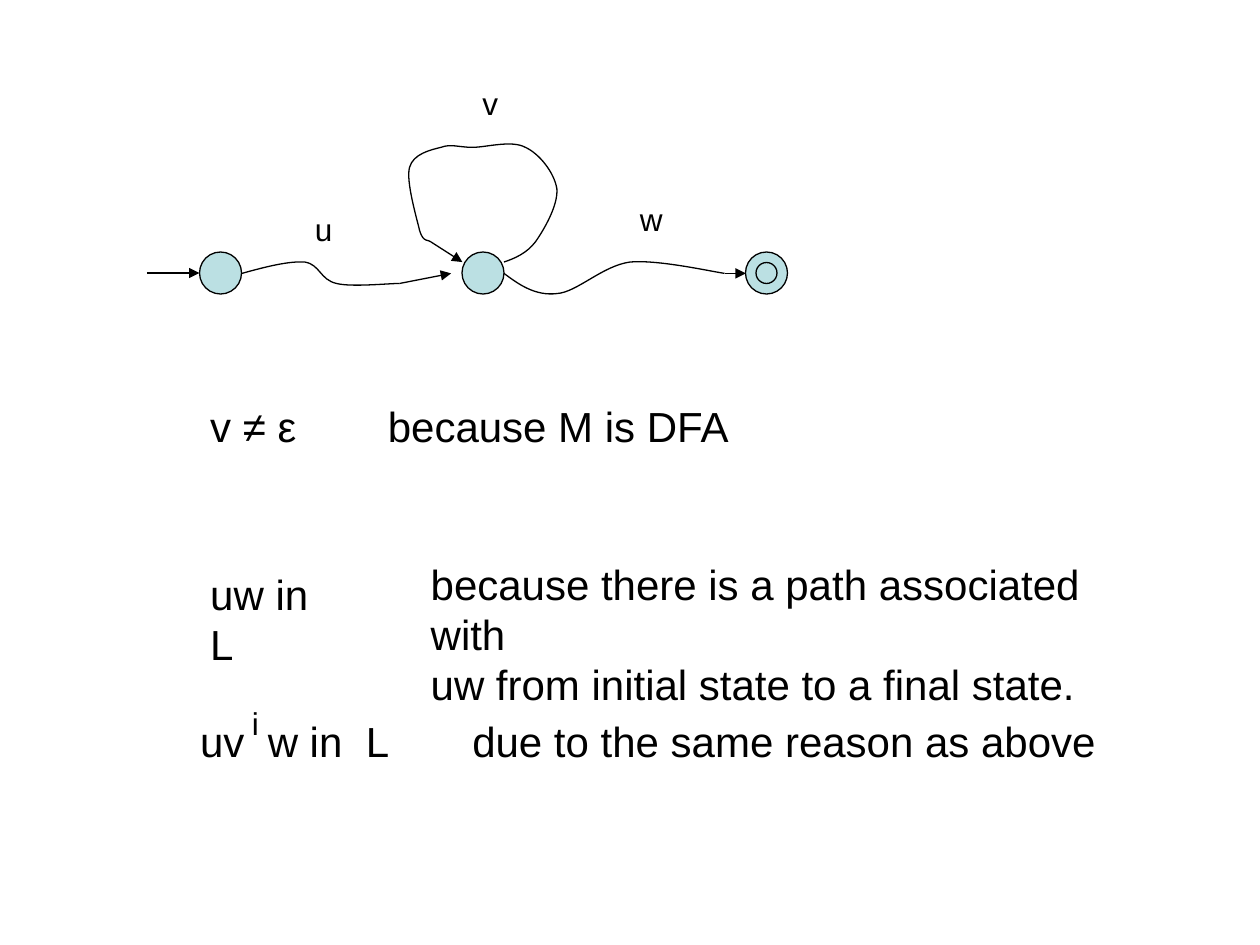
"""Build a slide showing a DFA path u, v, w and the pumping argument drawn from it."""
from lxml.etree import SubElement
from pptx import Presentation
from pptx.dml.color import RGBColor
from pptx.enum.shapes import MSO_CONNECTOR, MSO_SHAPE
from pptx.enum.text import MSO_AUTO_SIZE
from pptx.oxml.ns import qn
from pptx.util import Inches, Pt

THEME = {
    "font": "Arial", "ink": RGBColor(0, 0, 0), "state": RGBColor(0xBB, 0xE0, 0xE3),
    "label": 18, "body": 24, "line": 0.75, "wide_space": 6.67,
}
UNIT = 1 / 12
AXIS = 26
STATES = [(21, 4), (73, 4), (46, 4), (73, 2)]
START = [(14, AXIS), (19, AXIS)]
PATHS = [
    ([(1.92, 2.17), (2.1, 2.12), (2.29, 2.07), (2.42, 2.08),
      (2.54, 2.1), (2.54, 2.22), (2.67, 2.25),
      (2.79, 2.28), (3.08, 2.25), (3.17, 2.25)], (3.58, 2.17)),
    ([(4, 2.17), (4.12, 2.26), (4.25, 2.35), (4.42, 2.33),
      (4.58, 2.32), (4.78, 2.11), (5, 2.08),
      (5.22, 2.06), (5.62, 2.15), (5.75, 2.17)], (5.92, 2.17)),
    ([(4, 2.08), (4.09, 2.05), (4.18, 2.01), (4.25, 1.92),
      (4.32, 1.82), (4.43, 1.63), (4.42, 1.5),
      (4.4, 1.37), (4.28, 1.22), (4.17, 1.17),
      (4.06, 1.11), (3.86, 1.17), (3.75, 1.17),
      (3.64, 1.17), (3.58, 1.14), (3.5, 1.17),
      (3.42, 1.19), (3.28, 1.22), (3.25, 1.33),
      (3.22, 1.44), (3.31, 1.74), (3.33, 1.83),
      (3.36, 1.93), (3.4, 1.9), (3.42, 1.92)], (3.67, 2.08)),
]
LABELS = [
    ("u", 2.4, 1.62, 0.34), ("v", 3.73, 0.62, 0.32),
    ("w", 4.98, 1.54, 0.38), ("i", 1.9, 5.54, 0.25),
]
CLAIMS = [
    ([["v ≠ ε"]], 1.57, 3.13, 0.88),
    ([["because M is DFA"]], 2.98, 3.13, 2.92),
    ([["uw in L"]], 1.57, 4.46, 1.25),
    ([["because there is a path associated with"],
      ["uw from initial state to a final state."]], 3.32, 4.38, 6.03),
    ([["uv", " ", "w in", " ", "L"]], 1.49, 5.63, 1.7),
    ([["due to the same reason as above"]], 3.65, 5.63, 5.15),
]


def add_text(s, paragraphs, *, x, y, w, size):
    h = 0.1 + len(paragraphs) * size / 60
    tf = s.shapes.add_textbox(*map(Inches, (x, y, w, h))).text_frame
    tf.word_wrap = False
    tf.auto_size = MSO_AUTO_SIZE.SHAPE_TO_FIT_TEXT
    for i, runs in enumerate(paragraphs):
        p = tf.add_paragraph() if i else tf.paragraphs[0]
        for text in runs:
            r = p.add_run()
            r.text = text
            r.font.name, r.font.size = THEME["font"], Pt(size)
            r.font.color.rgb = THEME["ink"]
            if text == " ":
                r.font._element.set("spc", str(round(THEME["wide_space"] * 100)))


def set_line(sp):
    sp.line.color.rgb = THEME["ink"]
    sp.line.width = Pt(THEME["line"])


def add_state(s, center, size):
    box = (center - size / 2, AXIS - size / 2, size, size)
    sp = s.shapes.add_shape(MSO_SHAPE.OVAL, *(Inches(v * UNIT) for v in box))
    sp.shadow.inherit = False
    sp.fill.solid()
    sp.fill.fore_color.rgb = THEME["state"]
    set_line(sp)


def add_arrow(s, begin, end):
    sp = s.shapes.add_connector(MSO_CONNECTOR.STRAIGHT, *map(Inches, (*begin, *end)))
    set_line(sp)
    SubElement(sp.line._get_or_add_ln(), qn("a:tailEnd"), type="triangle")
    SubElement(sp._element.spPr, qn("a:effectLst"))


def add_curve(s, points):
    first, *rest = [(Inches(x), Inches(y)) for x, y in points]
    builder = s.shapes.build_freeform(*first)
    builder.add_line_segments(rest, close=False)
    sp = builder.convert_to_shape()
    sp.shadow.inherit = False
    sp.fill.background()
    set_line(sp)
    outline = sp._element.find(".//" + qn("a:path"))
    segments = outline.findall(qn("a:lnTo"))
    for i in range(0, len(segments), 3):
        bezier = SubElement(outline, qn("a:cubicBezTo"))
        for segment in segments[i:i + 3]:
            bezier.append(segment[0])
            outline.remove(segment)


def main():
    prs = Presentation()
    prs.slide_width, prs.slide_height = Inches(10), Inches(7.5)
    s = prs.slides.add_slide(prs.slide_layouts[6])
    for center, size in STATES:
        add_state(s, center, size)
    add_arrow(s, *[(x * UNIT, y * UNIT) for x, y in START])
    for points, tip in PATHS:
        add_curve(s, points)
        add_arrow(s, points[-1], tip)
    for text, x, y, w in LABELS:
        add_text(s, [[text]], x=x, y=y, w=w, size=THEME["label"])
    for paragraphs, x, y, w in CLAIMS:
        add_text(s, paragraphs, x=x, y=y, w=w, size=THEME["body"])
    prs.save("out.pptx")


if __name__ == "__main__":
    main()
